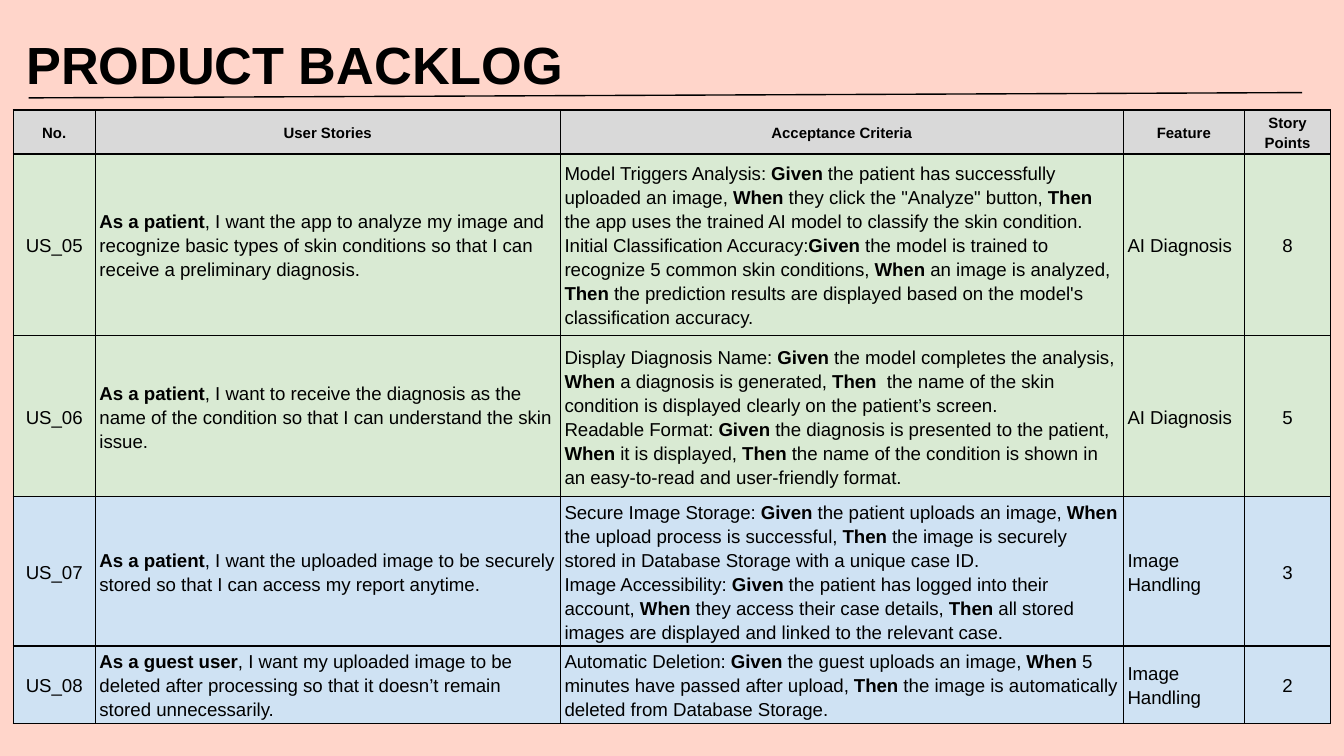
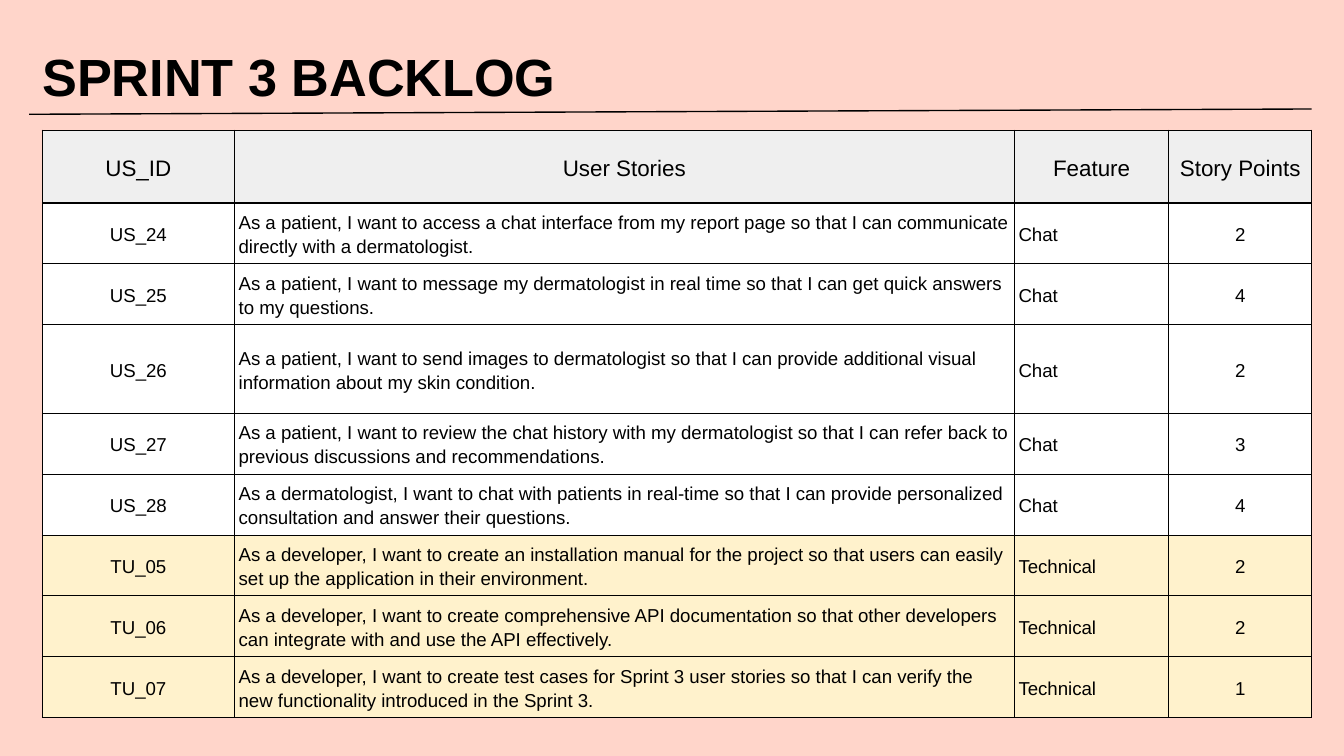
from pptx import Presentation
from pptx.dml.color import RGBColor
from pptx.enum.shapes import MSO_CONNECTOR
from pptx.enum.text import MSO_ANCHOR, MSO_AUTO_SIZE, PP_ALIGN
from pptx.oxml.ns import qn
from pptx.util import Cm, Pt
from lxml.etree import SubElement

COLORS = {
    "background": "FFD5CA",
    "ink": "000000",
    "gray": "D9D9D9",
    "pale": "EFEFEF",
    "green": "D9EAD3",
    "blue": "CFE2F3",
    "white": "FFFFFF",
    "yellow": "FFF2CC",
}
FONT = "Arial"
TITLE_FRAME = {
    "margin_left": Cm(0.25),
    "margin_right": Cm(0.25),
    "margin_top": Cm(0.35),
    "margin_bottom": Cm(0.25),
    "vertical_anchor": MSO_ANCHOR.TOP,
    "auto_size": MSO_AUTO_SIZE.NONE,
    "word_wrap": True,
}
CELL_FORMAT = {
    "margin_left": Cm(0.08),
    "margin_right": Cm(0.08),
    "margin_top": Cm(0.05),
    "margin_bottom": Cm(0.05),
    "vertical_anchor": MSO_ANCHOR.MIDDLE,
}
TABLE_FLAGS = {"first_row": False, "horz_banding": False}

PRODUCT_HEADER = ["No.", "User Stories", "Acceptance Criteria", "Feature", "Story Points"]
PRODUCT_STORIES = [
    ("green", "US_05",
     "**As a patient**, I want the app to analyze my image and recognize basic types of skin "
     "conditions so that I can receive a preliminary diagnosis.",
     "Model Triggers Analysis: **Given** the patient has successfully uploaded an image, "
     "**When** they click the \"Analyze\" button, **Then **the app uses the trained AI model "
     "to classify the skin condition.\n"
     "Initial Classification Accuracy:**Given** the model is trained to recognize 5 common "
     "skin conditions, **When** an image is analyzed, **Then **the prediction results are "
     "displayed based on the model's classification accuracy.",
     "AI Diagnosis", "8"),
    ("green", "US_06",
     "**As a patient**, I want to receive the diagnosis as the name of the condition so that "
     "I can understand the skin issue.",
     "Display Diagnosis Name: **Given** the model completes the analysis, **When** a "
     "diagnosis is generated, **Then ** the name of the skin condition is displayed clearly "
     "on the patient’s screen.\n"
     "Readable Format: **Given **the diagnosis is presented to the patient, **When** it is "
     "displayed, **Then **the name of the condition is shown in an easy-to-read and "
     "user-friendly format.",
     "AI Diagnosis", "5"),
    ("blue", "US_07",
     "**As a patient**, I want the uploaded image to be securely stored so that I can access "
     "my report anytime.",
     "Secure Image Storage: **Given **the patient uploads an image, **When** the upload "
     "process is successful, **Then** the image is securely stored in Database Storage with "
     "a unique case ID.\n"
     "Image Accessibility: **Given** the patient has logged into their account, **When** "
     "they access their case details, **Then** all stored images are displayed and linked to "
     "the relevant case.",
     "Image Handling", "3"),
    ("blue", "US_08",
     "**As a guest user**, I want my uploaded image to be deleted after processing so that it "
     "doesn’t remain stored unnecessarily.",
     "Automatic Deletion: **Given **the guest uploads an image, **When** 5 minutes have "
     "passed after upload, **Then **the image is automatically deleted from Database Storage.",
     "Image Handling", "2"),
]

SPRINT_HEADER = ["US_ID", "User Stories", "Feature", "Story Points"]
SPRINT_STORIES = [
    ("white", "US_24",
     "As a patient, I want to access a chat interface from my report page so that I can "
     "communicate directly with a dermatologist.", "Chat", "2"),
    ("white", "US_25",
     "As a patient, I want to message my dermatologist in real time so that I can get quick "
     "answers to my questions.", "Chat", "4"),
    ("white", "US_26",
     "As a patient, I want to send images to dermatologist so that I can provide additional "
     "visual information about my skin condition.", "Chat", "2"),
    ("white", "US_27",
     "As a patient, I want to review the chat history with my dermatologist so that I can "
     "refer back to previous discussions and recommendations.", "Chat", "3"),
    ("white", "US_28",
     "As a dermatologist, I want to chat with patients in real-time so that I can provide "
     "personalized consultation and answer their questions.", "Chat", "4"),
    ("yellow", "TU_05",
     "As a developer, I want to create an installation manual for the project so that users "
     "can easily set up the application in their environment.", "Technical", "2"),
    ("yellow", "TU_06",
     "As a developer, I want to create comprehensive API documentation so that other "
     "developers can integrate with and use the API effectively.", "Technical", "2"),
    ("yellow", "TU_07",
     "As a developer, I want to create test cases for Sprint 3 user stories so that I can "
     "verify the new functionality introduced in the Sprint 3.", "Technical", "1"),
]


def apply(target, values):
    for name, value in values.items():
        setattr(target, name, value)


def color(name):
    return RGBColor.from_string(COLORS[name])


def paint(fill, name):
    fill.solid()
    fill.fore_color.rgb = color(name)


def add_span(para, text, size, bold):
    span = para.add_run()
    span.text = text
    apply(span.font, {"name": FONT, "size": Pt(size), "bold": bold})
    span.font.color.rgb = color("ink")


def add_title(page, text, left, top, width, height):
    title = page.shapes.title
    apply(title, {"left": Cm(left), "top": Cm(top), "width": Cm(width), "height": Cm(height)})
    apply(title.text_frame, TITLE_FRAME)
    para = title.text_frame.paragraphs[0]
    para.alignment = PP_ALIGN.LEFT
    add_span(para, text, 28, True)


def add_rule(page, left, start, right, end):
    rule = page.shapes.add_connector(
        MSO_CONNECTOR.STRAIGHT, Cm(left), Cm(start), Cm(right), Cm(end))
    rule.line.color.rgb = color("ink")
    rule.line.width = Pt(0.75)
    SubElement(rule._element.spPr, qn("a:effectLst"))


def add_borders(cell, width):
    properties = cell._tc.get_or_add_tcPr()
    for side in ("lnL", "lnR", "lnT", "lnB"):
        line = SubElement(properties, qn(f"a:{side}"), w=str(Pt(width)))
        fill = SubElement(line, qn("a:solidFill"))
        SubElement(fill, qn("a:srgbClr"), val=COLORS["ink"])


def fill_cell(cell, text, fill, size, bold, centered, border):
    apply(cell, CELL_FORMAT)
    add_borders(cell, border)
    paint(cell.fill, fill)
    for index, line in enumerate(text.split("\n")):
        frame = cell.text_frame
        para = frame.add_paragraph() if index else frame.paragraphs[0]
        para.line_spacing = 1.15
        para.alignment = PP_ALIGN.CENTER if centered else PP_ALIGN.LEFT
        for part, words in enumerate(line.split("**")):
            if words:
                add_span(para, words, size, bold or part % 2 == 1)


def add_backlog(page, left, top, widths, heights, header, stories, style):
    frame = page.shapes.add_table(
        len(heights), len(widths), Cm(left), Cm(top), Cm(sum(widths)), Cm(sum(heights)))
    table = frame.table
    apply(table, TABLE_FLAGS)
    for column, width in zip(table.columns, widths):
        column.width = Cm(width)
    for row, height in zip(table.rows, heights):
        row.height = Cm(height)
    for index, text in enumerate(header):
        fill_cell(table.cell(0, index), text, style["fill"], style["size"],
                  style["bold"], True, 0.75)
    for number, (fill, *texts) in enumerate(stories, 1):
        for index, text in enumerate(texts):
            centered = index in (0, len(texts) - 1)
            fill_cell(table.cell(number, index), text, fill, 10, False,
                      centered, style["border"])


def add_page(deck):
    return deck.slides.add_slide(deck.slide_layouts[5])


def add_product_backlog(deck):
    page = add_page(deck)
    add_backlog(page, 0.25, 2.08, [1.55, 8.79, 10.64, 2.29, 1.63],
                [0.79, 3.43, 3.05, 1.88, 1.19], PRODUCT_HEADER, PRODUCT_STORIES,
                {"fill": "gray", "size": 8, "bold": True, "border": 0.75})
    add_title(page, "PRODUCT BACKLOG", 0.25, 0.25, 21.54, 1.8)
    add_rule(page, 0.54, 1.85, 24.61, 1.75)


def add_sprint_backlog(deck):
    page = add_page(deck)
    add_title(page, "SPRINT 3 BACKLOG", 0.55, 0.48, 21.41, 1.6)
    add_rule(page, 0.55, 2.16, 24.79, 2.06)
    add_backlog(page, 0.8, 2.46, [3.63, 14.74, 2.92, 2.7],
                [1.38] + [1.15] * 2 + [1.68] + [1.15] * 5, SPRINT_HEADER, SPRINT_STORIES,
                {"fill": "pale", "size": 12, "bold": False, "border": 0.6})


def main():
    deck = Presentation()
    apply(deck, {"slide_width": Cm(25.4), "slide_height": Cm(14.29)})
    paint(deck.slide_master.background.fill, "background")
    add_product_backlog(deck)
    add_sprint_backlog(deck)
    deck.save("out.pptx")


if __name__ == "__main__":
    main()
